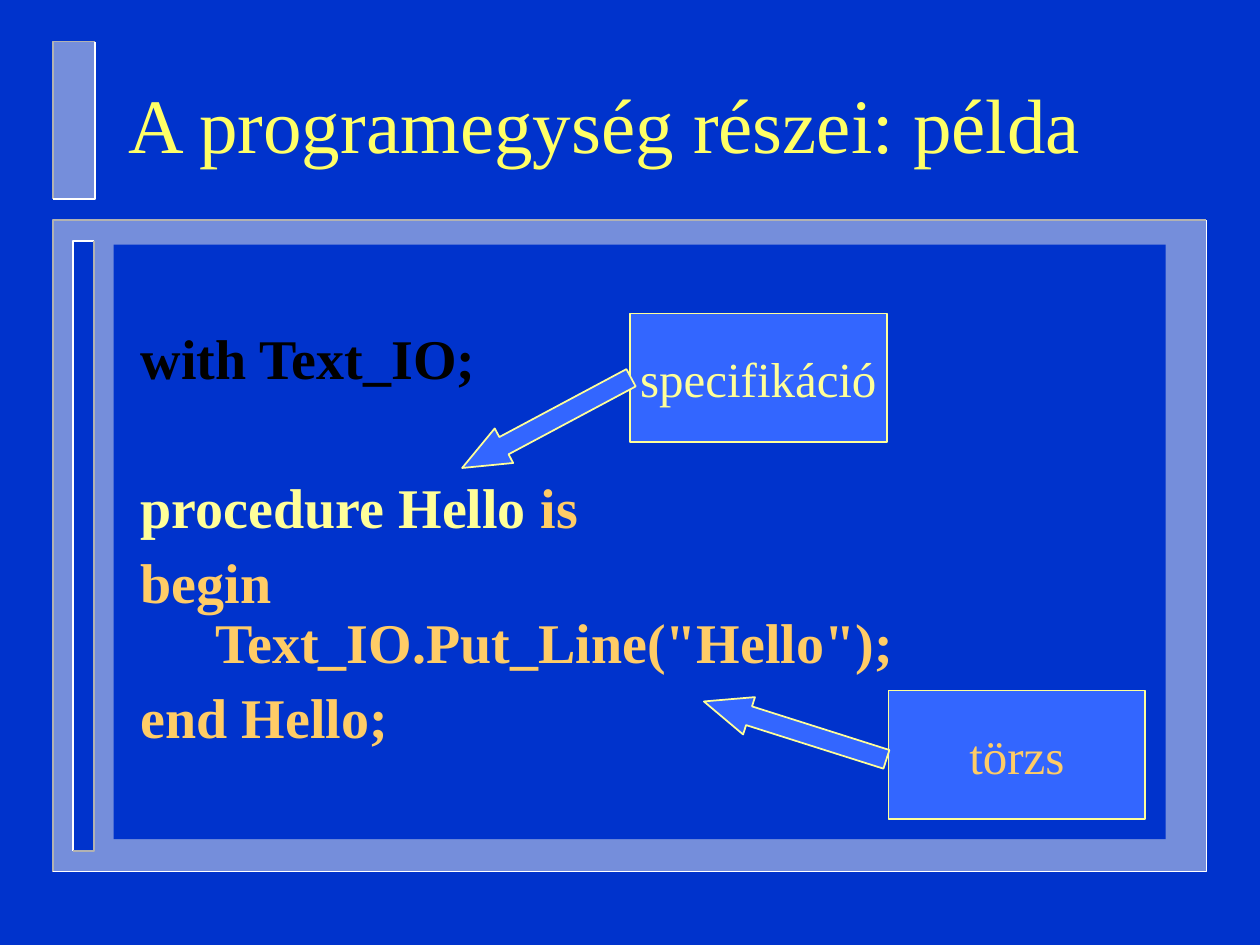
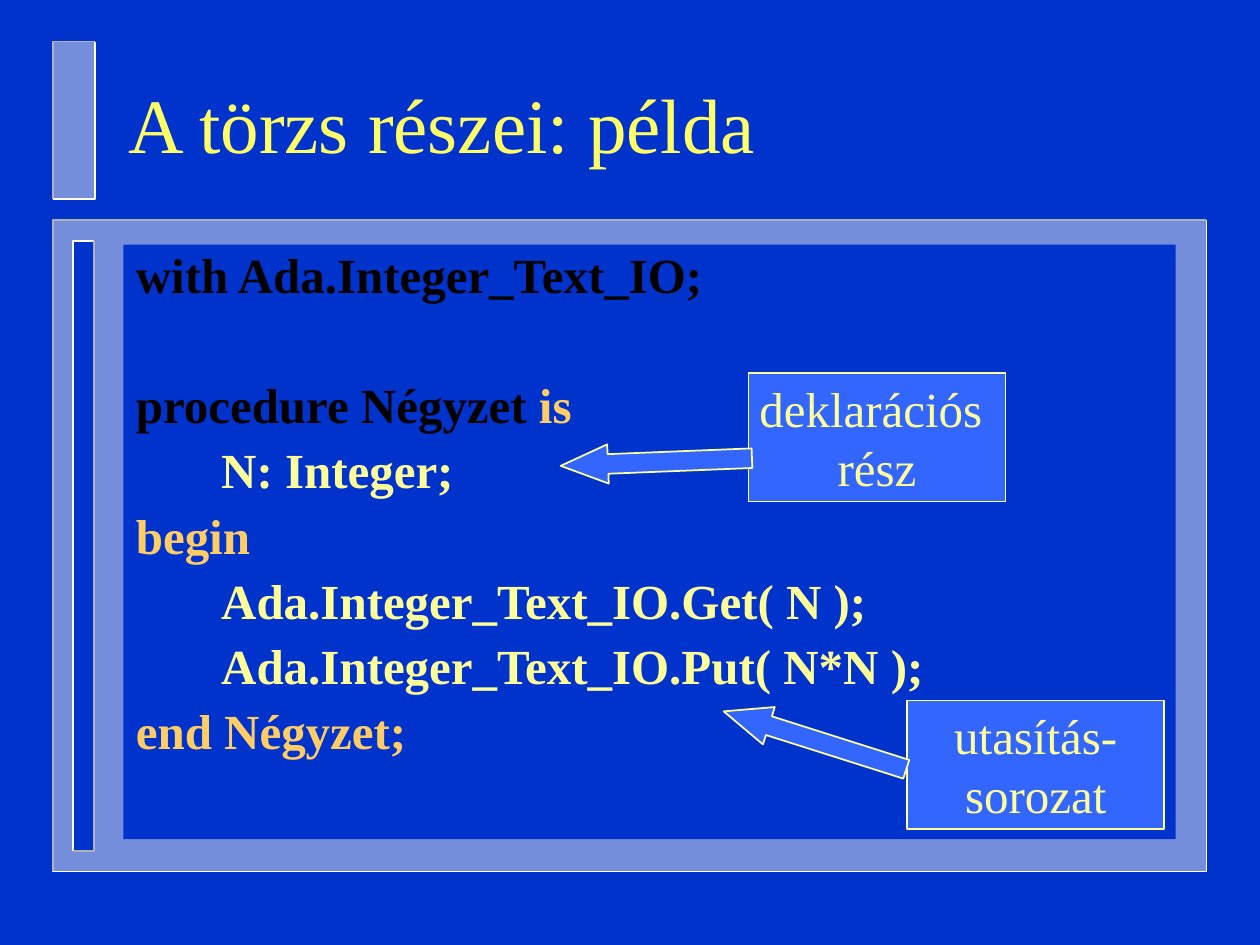
from pptx import Presentation
from pptx import util as u
from pptx.dml.color import RGBColor
from pptx.enum import shapes, text
from pptx.oxml.ns import qn
from lxml import etree

COLORS = {
    "ground": "0033CC", "title": "FFFF66", "frame": "EAEAEA", "shade": "B2B2B2",
    "light": "FFFFFF", "callout": "3366FF", "black": "000000",
    "yellow": "FFFF99", "orange": "FFCC66",
}
FONT = "Times New Roman"
TITLE_BOX = (2.34, 0.94, 21.59, 3.07)
CODE_TOP, CODE_WIDTH, CODE_HEIGHT = 4.93, 21.21, 11.99
CALLOUT_SIZE = (5.18, 2.59)
ARROW_SIZE = (3.86, 0.79)
ARROW_ADJUSTMENTS = (0.5, 1.21)

FRAME = [
    {"box": (1.07, 4.44, 23.25, 13.13), "fill": "frame", "opacity": 50, "edges": ("shade", "light")},
    {"box": (1.47, 4.86, 0.43, 12.29), "fill": "ground", "opacity": 100, "edges": ("light", "shade")},
    {"box": (1.07, 0.84, 0.84, 3.17), "fill": "frame", "opacity": 50, "edges": ("shade", "light")},
]

SLIDES = [
    {
        "title": "A programegység részei: példa",
        "code_left": 2.29, "insets": (0.55, 1.75), "size": 32, "spacing": 8, "gap": 50.6,
        "code": [
            (0, "spacing", [("with Text_IO;", "black")]),
            (0, "gap", [("procedure Hello ", "yellow"), ("is", "orange")]),
            (0, "spacing", [("begin", "orange")]),
            (1.5, None, [('Text_IO.Put_Line("Hello");', "orange")]),
            (0, "spacing", [("end Hello;", "orange")]),
        ],
        "callouts": [
            (12.7, 6.32, ["specifikáció"], "yellow"),
            (17.91, 13.92, ["törzs"], "orange"),
        ],
        "arrows": [(14.1, 14.33, 17.6), (9.09, 8.13, -28.1)],
    },
    {
        "title": "A törzs részei: példa",
        "code_left": 2.49, "insets": (0.25, 0.13), "size": 28, "spacing": 7, "gap": 44.3,
        "code": [
            (0, "spacing", [("with Ada.Integer_Text_IO;", "black")]),
            (0, "gap", [("procedure Négyzet ", "black"), ("is", "orange")]),
            (1.72, "spacing", [("N: Integer;", "yellow")]),
            (0, "spacing", [("begin", "orange")]),
            (1.72, "spacing", [("Ada.Integer_Text_IO.Get( N );", "yellow")]),
            (1.72, "spacing", [("Ada.Integer_Text_IO.Put( N*N );", "yellow")]),
            (0, "spacing", [("end Négyzet;", "orange")]),
        ],
        "callouts": [
            (15.09, 7.52, ["deklarációs ", "rész"], "yellow"),
            (18.29, 14.12, ["utasítás-", "sorozat"], "yellow"),
        ],
        "arrows": [(14.5, 14.53, 17.6), (11.3, 8.92, -2.3)],
    },
]


def rgb(name):
    return RGBColor.from_string(COLORS[name])


def cm(values):
    return [u.Cm(value) for value in values]


def apply(target, formats):
    for key, value in formats.items():
        setattr(target, key, value)


def outline(part, color):
    part.line.color.rgb = rgb(color)
    part.line.width = u.Pt(1)


def add_block(slide, kind, box, fill, edge=None):
    block = slide.shapes.add_shape(kind, *cm(box))
    block.shadow.inherit = False
    block.fill.solid()
    block.fill.fore_color.rgb = rgb(fill)
    if edge:
        outline(block, edge)
    else:
        block.line.fill.background()
    return block


def add_edge(slide, points, color):
    start, *rest = [cm(point) for point in points]
    builder = slide.shapes.build_freeform(*start)
    builder.add_line_segments(rest, close=False)
    edge = builder.convert_to_shape()
    edge.shadow.inherit = False
    edge.fill.background()
    outline(edge, color)
    return edge


def add_frame(slide, layout):
    parts = []
    for panel in FRAME:
        left, top, width, height = panel["box"]
        right, bottom = left + width, top + height
        block = add_block(slide, shapes.MSO_SHAPE.RECTANGLE, panel["box"], panel["fill"])
        fill_color = block.element.spPr.find(qn("a:solidFill"))[0]
        etree.SubElement(fill_color, qn("a:alpha"), val=str(panel["opacity"] * 1000))
        parts.append(block)
        for corner, color in zip([(left, top), (right, bottom)], panel["edges"]):
            parts.append(add_edge(slide, [(right, top), corner, (left, bottom)], color))
    for number, part in enumerate(parts, 100):
        part.element.xpath(".//p:cNvPr")[0].set("id", str(number))
        layout.shapes.element.append(part.element)


def write_run(paragraph, words, size, color, bold=False):
    run = paragraph.add_run()
    run.text = words
    apply(run.font, {"name": FONT, "size": u.Pt(size), "bold": bold})
    run.font.color.rgb = rgb(color)


def paragraphs(frame, rows):
    for index, row in enumerate(rows):
        yield (frame.add_paragraph() if index else frame.paragraphs[0]), row


def set_title(slide, words):
    title = slide.shapes.title
    apply(title, dict(zip(("left", "top", "width", "height"), cm(TITLE_BOX))))
    apply(title.text_frame, {
        "vertical_anchor": text.MSO_ANCHOR.MIDDLE,
        "auto_size": text.MSO_AUTO_SIZE.NONE, "word_wrap": True,
    })
    heading = title.text_frame.paragraphs[0]
    apply(heading, {
        "alignment": text.PP_ALIGN.JUSTIFY,
        "space_before": u.Pt(5), "space_after": u.Pt(5),
    })
    write_run(heading, words, 44, "title")


def add_code(slide, content):
    box = (content["code_left"], CODE_TOP, CODE_WIDTH, CODE_HEIGHT)
    listing = add_block(slide, shapes.MSO_SHAPE.RECTANGLE, box, "ground")
    left, top = content["insets"]
    apply(listing.text_frame, {
        "margin_left": u.Cm(left), "margin_top": u.Cm(top),
        "vertical_anchor": text.MSO_ANCHOR.TOP, "word_wrap": True,
    })
    for line, (indent, before, runs) in paragraphs(listing.text_frame, content["code"]):
        apply(line, {
            "alignment": text.PP_ALIGN.LEFT, "line_spacing": 0.9,
            "space_before": u.Pt(content[before] if before else 0),
        })
        line._p.get_or_add_pPr().set("marL", str(u.Cm(indent)))
        for words, color in runs:
            write_run(line, words, content["size"], color, bold=True)


def add_callout(slide, left, top, lines, color):
    box = (left, top, *CALLOUT_SIZE)
    callout = add_block(slide, shapes.MSO_SHAPE.RECTANGLE, box, "callout", "yellow")
    apply(callout.text_frame, {"vertical_anchor": text.MSO_ANCHOR.MIDDLE, "word_wrap": False})
    for line, words in paragraphs(callout.text_frame, lines):
        line.alignment = text.PP_ALIGN.CENTER
        write_run(line, words, 28, color)


def add_arrow(slide, left, top, rotation):
    box = (left, top, *ARROW_SIZE)
    arrow = add_block(slide, shapes.MSO_SHAPE.LEFT_ARROW, box, "callout", "yellow")
    arrow.rotation = rotation
    for index, value in enumerate(ARROW_ADJUSTMENTS):
        arrow.adjustments[index] = value


def main():
    deck = Presentation()
    apply(deck, {"slide_width": u.Cm(25.4), "slide_height": u.Cm(19.05)})
    ground = deck.slide_master.background.fill
    ground.solid()
    ground.fore_color.rgb = rgb("ground")
    title_only = deck.slide_layouts[5]
    for content in SLIDES:
        slide = deck.slides.add_slide(title_only)
        if content is SLIDES[0]:
            add_frame(slide, title_only)
        set_title(slide, content["title"])
        add_code(slide, content)
        for callout in content["callouts"]:
            add_callout(slide, *callout)
        for arrow in content["arrows"]:
            add_arrow(slide, *arrow)
    deck.save("out.pptx")


if __name__ == "__main__":
    main()
